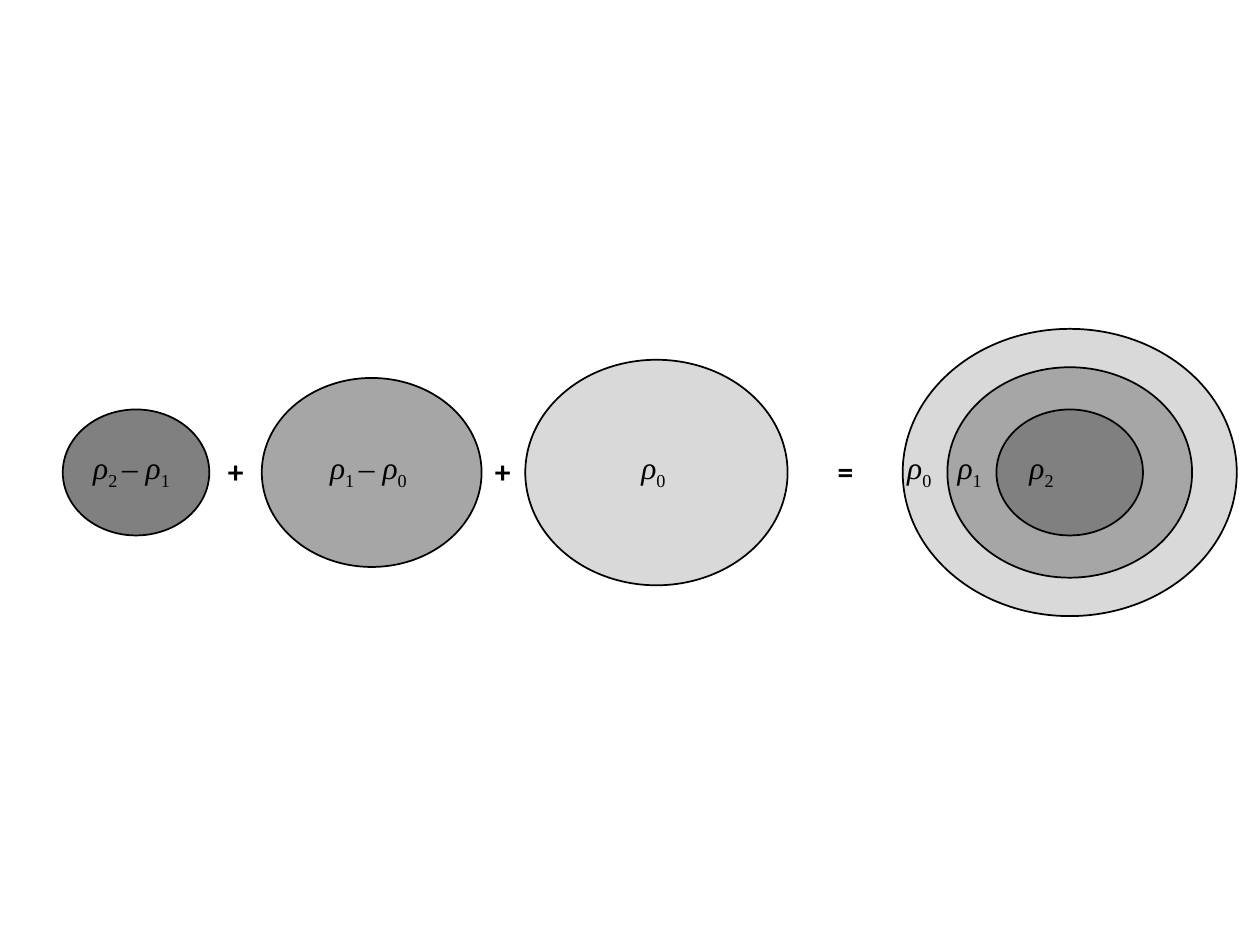
from dataclasses import dataclass

from lxml.etree import _Element as Element
from pptx import Presentation
from pptx.dml.color import RGBColor
from pptx.enum.shapes import MSO_SHAPE as Shape
from pptx.enum.text import MSO_AUTO_SIZE as AutoSize
from pptx.util import Inches, Pt


@dataclass(frozen=True)
class Theme:
    ink: RGBColor = RGBColor(0, 0, 0)
    core: RGBColor = RGBColor(0x80, 0x80, 0x80)
    middle: RGBColor = RGBColor(0xA6, 0xA6, 0xA6)
    outer: RGBColor = RGBColor(0xD9, 0xD9, 0xD9)
    size: Pt = Pt(18)
    operator_font: str = "Calibri"
    symbol_font: str = "Times New Roman"


THEME = Theme()
AXIS = 3.75  # common horizontal centre line
ASPECT = 1.163  # ellipse width over height
SUM_CENTER = 8.49

# centre x, height, fill
ELLIPSES = [
    (1.08, 1, THEME.core),
    (2.95, 1.5, THEME.middle),
    (5.21, 1.79, THEME.outer),
    (SUM_CENTER, 2.28, THEME.outer),
    (SUM_CENTER, 1.67, THEME.middle),
    (SUM_CENTER, 1, THEME.core),
]
# left, sign
OPERATORS = [(1.71, "+"), (3.83, "+"), (6.55, "=")]
# left, subscripts of the densities, joined by a minus sign
DENSITIES = [
    (0.74, "21"),
    (2.62, "10"),
    (5.09, "0"),
    (7.2, "0"),
    (7.6, "1"),
    (8.17, "2"),
]


def set_format(target, values):
    for name, value in values.items():
        setattr(target, name, value)


def add_ellipse(slide, center, height, fill):
    width = height * ASPECT
    ellipse = slide.shapes.add_shape(
        Shape.OVAL,
        Inches(center - width / 2), Inches(AXIS - height / 2),
        Inches(width), Inches(height),
    )
    ellipse.shadow.inherit = False
    ellipse.fill.solid()
    ellipse.fill.fore_color.rgb = fill
    ellipse.line.color.rgb = THEME.ink
    ellipse.line.width = Pt(1)


def add_text_line(slide, left, top, width, height, margins=None):
    """Add an unwrapped text box and return its paragraph."""
    box = slide.shapes.add_textbox(
        Inches(left), Inches(top), Inches(width), Inches(height))
    frame = box.text_frame
    set_format(frame, {"word_wrap": False,
                       "auto_size": AutoSize.SHAPE_TO_FIT_TEXT})
    set_format(frame, margins or {})
    return frame.paragraphs[0]


def add_run(paragraph, text, font, subscript=False, **style):
    run = paragraph.add_run()
    run.text = text
    set_format(run.font, {"name": font, "size": THEME.size, **style})
    run.font.color.rgb = THEME.ink
    if subscript:
        properties: Element = run._r.get_or_add_rPr()
        properties.set("baseline", "-25000")


def add_operator(slide, left, sign):
    paragraph = add_text_line(slide, left, 3.54, 0.33, 0.4)
    add_run(paragraph, sign, THEME.operator_font, bold=True)


def add_density(slide, left, subscripts):
    """Write one density symbol, or the difference of two."""
    no_margins = {f"margin_{side}": 0
                  for side in ("left", "top", "right", "bottom")}
    width = 0.67 if len(subscripts) > 1 else 0.23
    paragraph = add_text_line(slide, left, 3.56, width, 0.3, no_margins)
    last = len(subscripts) - 1
    for index, subscript in enumerate(subscripts):
        gap = " " if index < last else ""
        add_run(paragraph, "ρ", THEME.symbol_font, italic=True)
        add_run(paragraph, subscript + gap, THEME.symbol_font, subscript=True)
        if index < last:
            add_run(paragraph, "– ", THEME.symbol_font)


def main():
    presentation = Presentation()
    set_format(presentation, {"slide_width": Inches(10),
                              "slide_height": Inches(7.5)})
    blank_layout = presentation.slide_layouts[6]
    slide = presentation.slides.add_slide(blank_layout)
    for ellipse in ELLIPSES:
        add_ellipse(slide, *ellipse)
    for operator in OPERATORS:
        add_operator(slide, *operator)
    for density in DENSITIES:
        add_density(slide, *density)
    presentation.save("out.pptx")


if __name__ == "__main__":
    main()
